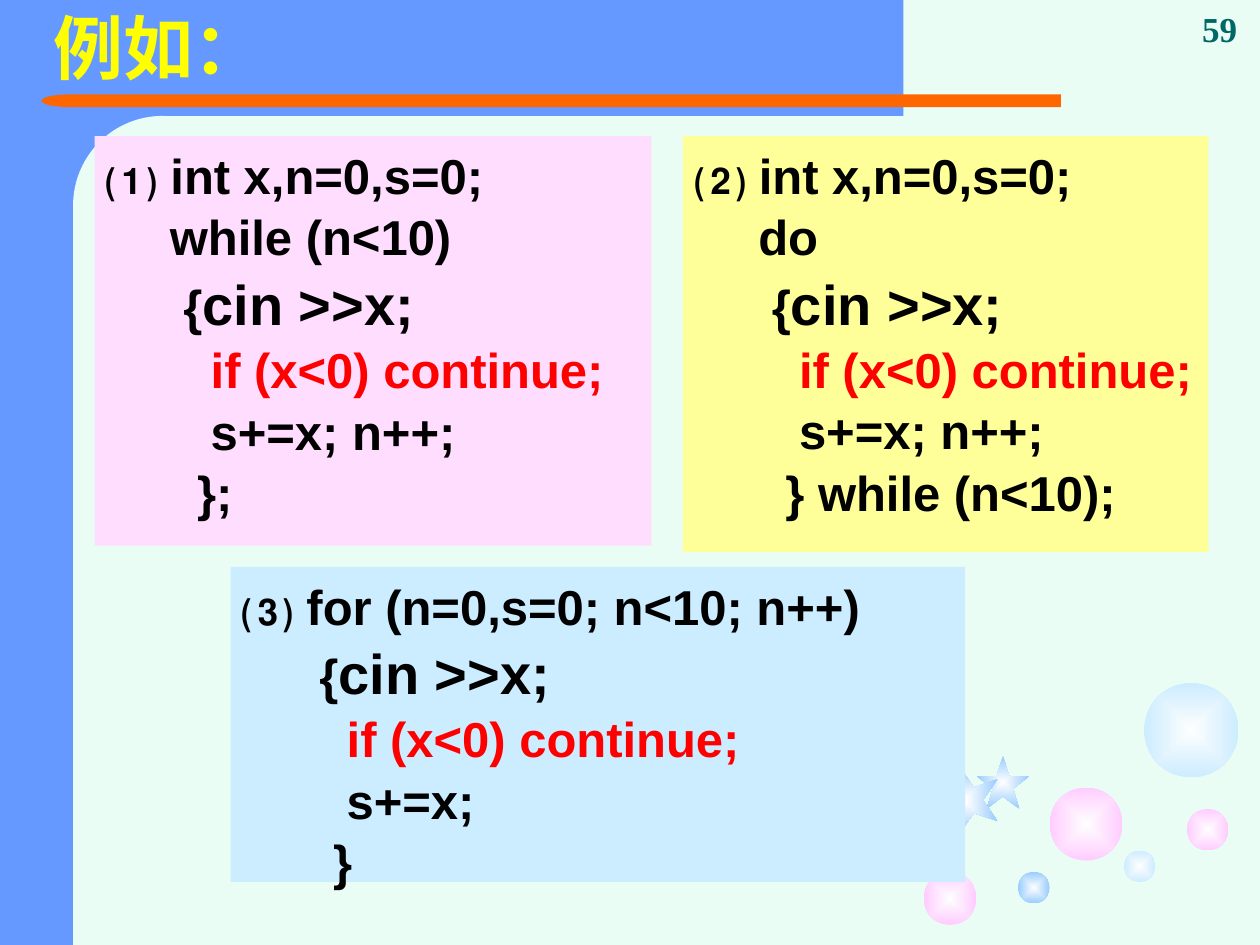
import pptx
import pptx.util
import pptx.dml.color
import pptx.enum.shapes
import pptx.enum.text
import pptx.oxml
import pptx.oxml.ns

Inches, Pt = pptx.util.Inches, pptx.util.Pt
KIND = pptx.enum.shapes.MSO_SHAPE
ANCHOR = pptx.enum.text.MSO_ANCHOR
ALIGN = pptx.enum.text.PP_ALIGN
qn = pptx.oxml.ns.qn

THEME = {
    "mint": "E9FDF4", "blue": "6699FF", "orange": "FF6600",
    "yellow": "FFFF00", "teal": "006666", "black": "000000", "red": "FF0000",
    "white": "FEFEFE", "pink": "FFCCFF", "sky": "CCECFF", "azure": "99CCFF",
    "rose": "FFDDFF", "lemon": "FFFF99",
    "sans": "Arial", "serif": "Times New Roman",
    "title": 40, "code": 28, "large": 32, "number": 20,
}

# Content: a line is a list of runs (text, size, colour)
TITLE, NUMBER = "例如：", "59"


def plain(text):
    return [(text, "code", "black")]


READ = [(" {", "code", "black"), ("cin >>x;", "large", "black")]
SKIP = [("   ", "code", "black"), ("if (x<0) continue;", "code", "red")]
PANELS = [
    ((0.75, 1.08, 4.42, 3.25), "rose",
     [plain("⑴ int x,n=0,s=0;"), plain("while (n<10)"), READ, SKIP,
      plain("   s+=x; n++;"), plain("  };")]),
    ((5.42, 1.08, 4.17, 3.3), "lemon",
     [plain("⑵ int x,n=0,s=0;"), plain("do"), READ, SKIP,
      plain("   s+=x; n++;"), plain("  } while (n<10);")]),
    ((1.83, 4.5, 5.83, 2.5), "sky",
     [plain("⑶ for (n=0,s=0; n<10; n++)"), READ, SKIP,
      plain("   s+=x;"), plain("  }")]),
]

# Frame parts, back to front: kind, box, colour
FRAME = [
    (KIND.RECTANGLE, (0, 0, 1.25, 7.5), "blue"),
    (KIND.RECTANGLE, (0.5, 0, 6.67, 0.92), "blue"),
    (KIND.ROUNDED_RECTANGLE, (0.58, 0.92, 1.42, 5.75), "mint"),
    (KIND.RECTANGLE, (0.75, 0.75, 7.67, 0.1), "orange"),
    (KIND.FLOWCHART_DELAY, (0.33, 0.75, 0.43, 0.1), "orange"),
    (KIND.RECTANGLE, (0.58, 5.92, 1.42, 1.58), "mint"),
]

# Bubbles: left, top, diameter, colour
BUBBLES = [
    (8.33, 6.25, 0.58, "pink"), (7.33, 6.92, 0.42, "pink"),
    (8.92, 6.75, 0.25, "sky"), (9.42, 6.42, 0.33, "pink"),
    (9.08, 5.42, 0.75, "sky"), (8.08, 6.92, 0.25, "azure"),
]
# Stars: box, rotation
STARS = [((7.75, 6, 0.42, 0.42), 0), ((7.4, 6.1, 0.54, 0.5), 270)]


def tint(name):
    return pptx.dml.color.RGBColor.from_string(THEME[name])


def add_form(slide, kind, box, color):
    form = slide.shapes.add_shape(kind, *map(Inches, box))
    form.shadow.inherit = False
    form.line.fill.background()
    form.fill.solid()
    form.fill.fore_color.rgb = tint(color)
    return form


def add_glow(slide, kind, box, color):
    form = add_form(slide, kind, box, color)
    form.fill.gradient()
    for stop, name, place in zip(form.fill.gradient_stops, ("white", color), (0, 1)):
        stop.color.rgb = tint(name)
        stop.position = place
    # Swap the linear blend for one that spreads from the centre
    grad = form.element.spPr.find(qn("a:gradFill"))
    grad.remove(grad.find(qn("a:lin")))
    grad.append(pptx.oxml.parse_xml(
        '<a:path xmlns:a="http://schemas.openxmlformats.org/drawingml/2006/main" path="rect">'
        '<a:fillToRect l="50000" t="50000" r="50000" b="50000"/></a:path>'))
    return form


def add_run(para, text, size, color, face="sans"):
    run = para.add_run()
    run.text = text
    run.font.name = THEME[face]
    run.font.size = Pt(THEME[size])
    run.font.bold = True
    run.font.color.rgb = tint(color)


def add_label(slide, box, text, size, color, face, anchor, align):
    frame = slide.shapes.add_textbox(*map(Inches, box)).text_frame
    frame.word_wrap = True
    frame.vertical_anchor = anchor
    para = frame.paragraphs[0]
    para.alignment = align
    add_run(para, text, size, color, face)
    return para


def add_panel(slide, box, color, lines):
    frame = add_form(slide, KIND.RECTANGLE, box, color).text_frame
    frame.word_wrap = True
    frame.vertical_anchor = ANCHOR.TOP
    for row, line in enumerate(lines):
        para = frame.add_paragraph() if row else frame.paragraphs[0]
        para.alignment = ALIGN.LEFT
        para.line_spacing = 1.05
        if row:
            para._p.get_or_add_pPr().set("marL", str(Inches(0.5)))
        for run in line:
            add_run(para, *run)


def main():
    deck = pptx.Presentation()
    deck.slide_width, deck.slide_height = Inches(10), Inches(7.5)
    slide = deck.slides.add_slide(deck.slide_layouts[6])
    slide.background.fill.solid()
    slide.background.fill.fore_color.rgb = tint("mint")

    # Frame
    for kind, box, color in FRAME:
        form = add_form(slide, kind, box, color)
        if kind == KIND.ROUNDED_RECTANGLE:
            form.adjustments[0] = 0.5
        elif kind == KIND.FLOWCHART_DELAY:
            form.element.spPr.xfrm.set("flipH", "1")

    # Bubbles and stars
    for left, top, size, color in BUBBLES:
        add_glow(slide, KIND.OVAL, (left, top, size, size), color)
    for box, turn in STARS:
        add_glow(slide, KIND.STAR_5_POINT, box, "azure").rotation = turn

    # Title, code panels and page number
    head = add_label(slide, (0.33, 0, 8.42, 0.83), TITLE, "title", "yellow",
                     "sans", ANCHOR.MIDDLE, ALIGN.LEFT)
    head.line_spacing = 0.9
    for panel in PANELS:
        add_panel(slide, *panel)
    add_label(slide, (9.36, 0, 0.64, 0.44), NUMBER, "number", "teal",
              "serif", ANCHOR.BOTTOM, ALIGN.CENTER)

    deck.save("out.pptx")


if __name__ == "__main__":
    main()
